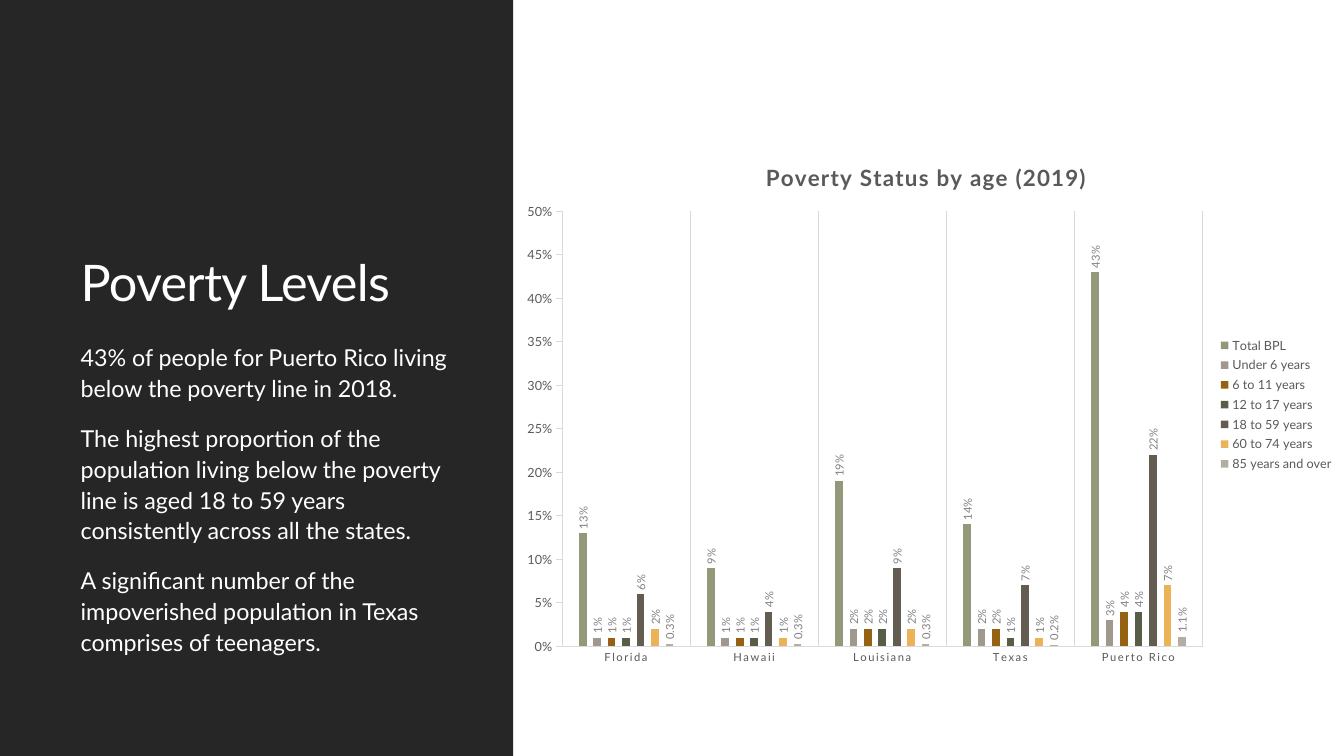
from lxml.etree import SubElement
from pptx import Presentation
from pptx.chart.data import CategoryChartData
from pptx.dml.color import RGBColor
from pptx.enum.chart import XL_CHART_TYPE as ChartType, XL_LABEL_POSITION as LabelPosition
from pptx.enum.chart import XL_LEGEND_POSITION as LegendPosition, XL_TICK_MARK as TickMark
from pptx.enum.shapes import MSO_SHAPE
from pptx.enum.text import MSO_ANCHOR, MSO_AUTO_SIZE
from pptx.oxml.ns import qn
from pptx.util import Inches, Pt

FONT = "Lato"
COLORS = {"panel": "262626", "white": "FFFFFF", "text": "595959", "label": "808080", "line": "D9D9D9"}

TITLE = "Poverty Levels"
BODY = [
    "43% of people for Puerto Rico living below the poverty line in 2018.",
    "The highest proportion of the population living below the poverty line is aged 18 to 59 years "
    "consistently across all the states.",
    "A significant number of the impoverished population in Texas comprises of teenagers.",
]
CHART_TITLE = "Poverty Status by age (2019)"
STATES = ["Florida", "Hawaii", "Louisiana", "Texas", "Puerto Rico"]
AGE_GROUPS = [  # name, share per state, colour, label format
    ("Total BPL", (0.13, 0.09, 0.19, 0.14, 0.43), "92987A", "0%"),
    ("Under 6 years", (0.01, 0.01, 0.02, 0.02, 0.03), "A0988C", "0%"),
    ("6 to 11 years", (0.01, 0.01, 0.02, 0.02, 0.04), "946212", "0%"),
    ("12 to 17 years", (0.01, 0.01, 0.02, 0.01, 0.04), "585D48", "0%"),
    ("18 to 59 years", (0.06, 0.04, 0.09, 0.07, 0.22), "635C51", "0%"),
    ("60 to 74 years", (0.02, 0.01, 0.02, 0.01, 0.07), "EBB358", "0%"),
    ("85 years and over", (0.003, 0.003, 0.003, 0.002, 0.011), "B3ADA3", "0.0%"),
]

SLIDE_SIZE = (13.33, 7.5)
PANEL_WIDTH = 5.09
TEXT_LEFT, TEXT_WIDTH = 0.7, 3.85
TITLE_BOX = (TEXT_LEFT, 0.86, TEXT_WIDTH, 2.29)
BODY_BOX = (TEXT_LEFT, 3.33, TEXT_WIDTH, 3.35)
CHART_BOX = (5.08, 1.35, 8.25, 5.33)
PLOT_SHARES = {"x": 0.06, "y": 0.14, "w": 0.77, "h": 0.81}
TITLE_SHARES = {"x": 0.3, "y": 0.04}


def style_font(font, size, color, bold=False):
    for name, value in {"name": FONT, "size": Pt(size), "bold": bold}.items():
        setattr(font, name, value)
    font.color.rgb = RGBColor.from_string(COLORS[color])


def style_line(line):
    line.color.rgb = RGBColor.from_string(COLORS["line"])
    line.width = Pt(0.75)


def fill_placeholder(placeholder, box, paragraphs, size, anchor, paragraph_format, spacing="0"):
    placeholder.left, placeholder.top, placeholder.width, placeholder.height = map(Inches, box)
    frame = placeholder.text_frame
    frame.text = "\n".join(paragraphs)
    frame.auto_size, frame.word_wrap, frame.vertical_anchor = MSO_AUTO_SIZE.NONE, True, anchor
    for index, paragraph in enumerate(frame.paragraphs):
        properties = paragraph._p.get_or_add_pPr()
        for name, value in {"marL": "0", "indent": "0", "algn": "l"}.items():
            properties.set(name, value)
        SubElement(properties, qn("a:buNone"))
        for name, value in paragraph_format.items():
            setattr(paragraph, name, value)
        if index == 0:
            paragraph.space_before = Pt(0)
        run = paragraph.runs[0]
        style_font(run.font, size, "white")
        run._r.get_or_add_rPr().set("spc", spacing)


def set_layout(parent, shares, inner=False):
    """Place a chart part at shares of the chart's size."""
    for old in parent.findall(qn("c:layout")):
        parent.remove(old)
    layout = SubElement(parent, qn("c:layout"))
    manual = SubElement(layout, qn("c:manualLayout"))
    if inner:
        SubElement(manual, qn("c:layoutTarget")).set("val", "inner")
    for name in ("x", "y"):
        SubElement(manual, qn(f"c:{name}Mode")).set("val", "edge")
    for name, share in shares.items():
        SubElement(manual, qn(f"c:{name}")).set("val", str(share))
    return layout


def add_poverty_chart(slide):
    data = CategoryChartData(number_format="0%")
    data.categories = STATES
    for name, values, _, _ in AGE_GROUPS:
        data.add_series(name, values)
    chart = slide.shapes.add_chart(ChartType.COLUMN_CLUSTERED, *map(Inches, CHART_BOX), data).chart
    style_font(chart.font, 10, "text")

    chart.has_title = True
    title = chart.chart_title
    title.text_frame.text = CHART_TITLE
    title.include_in_layout = False
    title_run = title.text_frame.paragraphs[0].runs[0]
    style_font(title_run.font, 16, "text", bold=True)
    title_run._r.get_or_add_rPr().set("spc", "100")
    title_layout = set_layout(title._element, TITLE_SHARES)
    title._element.find(qn("c:tx")).addnext(title_layout)

    chart.has_legend = True
    chart.legend.position = LegendPosition.RIGHT
    chart.legend.include_in_layout = False
    style_font(chart.legend.font, 9, "text")

    states, shares = chart.category_axis, chart.value_axis
    for axis, size, tick in ((states, 8, TickMark.NONE), (shares, 9, TickMark.OUTSIDE)):
        axis.major_tick_mark, axis.minor_tick_mark = tick, TickMark.NONE
        style_font(axis.tick_labels.font, size, "text")
        style_line(axis.format.line)
    states.has_major_gridlines, shares.has_major_gridlines = True, False
    style_line(states.major_gridlines.format.line)
    states._element.find(".//" + qn("a:defRPr")).set("spc", "100")
    shares.minimum_scale, shares.maximum_scale, shares.major_unit = 0, 0.5, 0.05
    shares.tick_labels.number_format = "0%"
    shares.tick_labels.number_format_is_linked = False

    plot = chart.plots[0]
    plot.gap_width, plot.overlap, plot.vary_by_categories = 444, -90, False
    for series, (_, _, color, number_format) in zip(plot.series, AGE_GROUPS):
        series.format.fill.solid()
        series.format.fill.fore_color.rgb = RGBColor.from_string(color)
        labels = series.data_labels
        label_format = {"show_value": True, "position": LabelPosition.OUTSIDE_END,
                        "number_format": number_format, "number_format_is_linked": False}
        for name, value in label_format.items():
            setattr(labels, name, value)
        style_font(labels.font, 8, "label")
        turned = labels._element.find(".//" + qn("a:bodyPr"))
        turned.set("rot", "-5400000")
        turned.set("vert", "horz")

    plot_area = plot._element.getparent()
    plot_area.insert(0, set_layout(plot_area, PLOT_SHARES, inner=True))


def main():
    presentation = Presentation()
    presentation.slide_width, presentation.slide_height = map(Inches, SLIDE_SIZE)
    slide = presentation.slides.add_slide(presentation.slide_layouts[1])
    panel = slide.shapes.add_shape(MSO_SHAPE.RECTANGLE, 0, 0, Inches(PANEL_WIDTH), presentation.slide_height)
    panel.shadow.inherit = False
    panel.fill.solid()
    panel.fill.fore_color.rgb = RGBColor.from_string(COLORS["panel"])
    panel.line.fill.background()
    slide.shapes._spTree.insert(2, panel._element)

    title, body = slide.placeholders
    fill_placeholder(title, TITLE_BOX, [TITLE], 36, MSO_ANCHOR.BOTTOM, {"line_spacing": 0.9}, "-50")
    fill_placeholder(body, BODY_BOX, BODY, 16.6, MSO_ANCHOR.TOP,
                     {"line_spacing": 1.1, "space_before": Pt(12), "space_after": Pt(2)})
    add_poverty_chart(slide)
    presentation.save("out.pptx")


if __name__ == "__main__":
    main()
